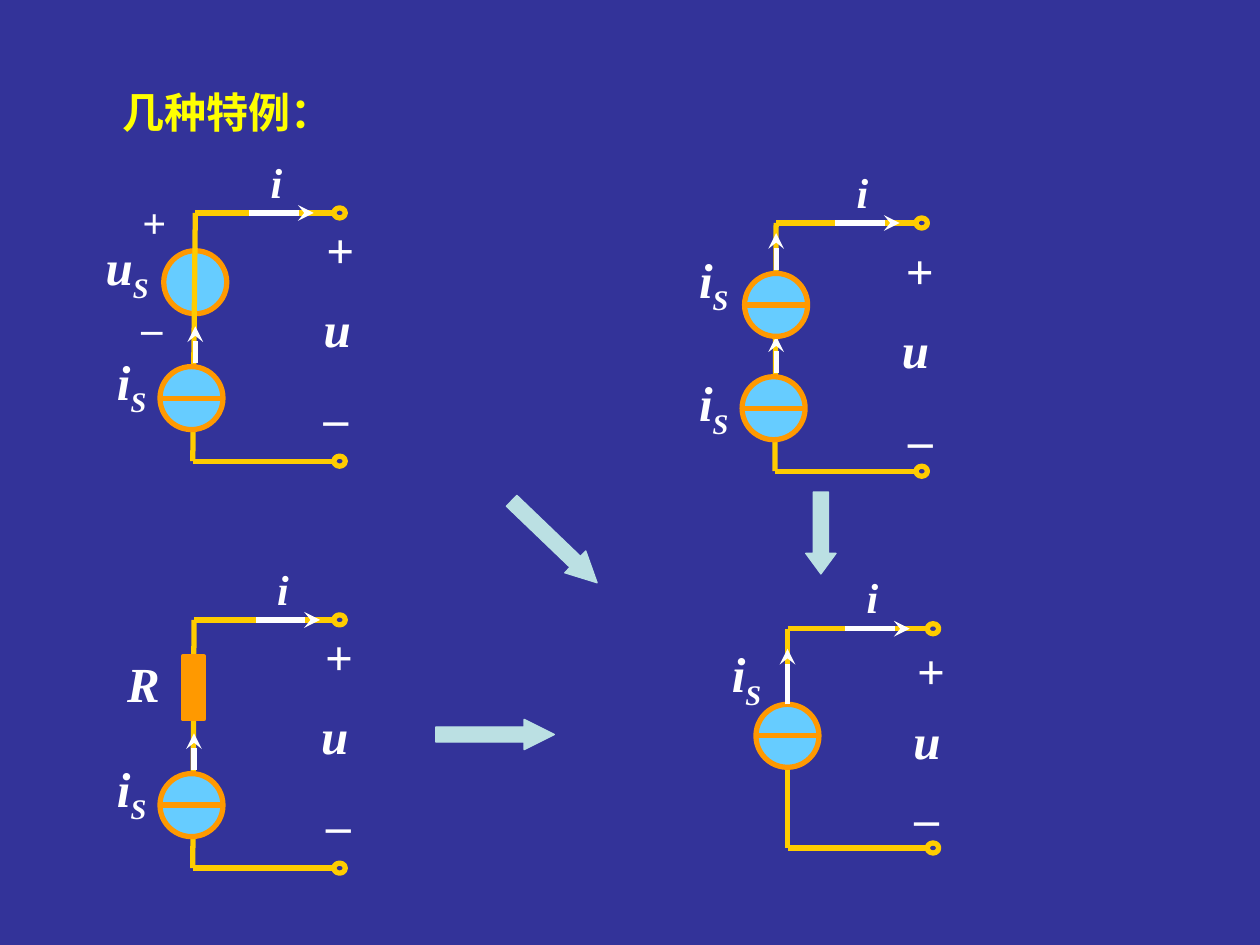
from dataclasses import dataclass

import pptx
import pptx.dml.color
import pptx.enum.shapes
import pptx.enum.text
import pptx.oxml.ns
import pptx.util
from lxml import etree
from pptx.util import Inches

SHAPE = pptx.enum.shapes.MSO_SHAPE
ANCHOR = pptx.enum.text.MSO_ANCHOR
ALIGN = pptx.enum.text.PP_ALIGN


@dataclass(frozen=True)
class Theme:
    background: str = "333399"
    title: str = "FFFF00"
    text: str = "FFFFFF"
    wire: str = "FFCC00"
    outline: str = "FF9900"
    source: str = "66CCFF"
    arrow: str = "BBE0E3"
    title_font: str = "Arial"
    symbol_font: str = "Times New Roman"
    large: int = 28
    small: int = 24
    line: int = 3


THEME = Theme()
SOURCE_SIZE = 0.5


@dataclass(frozen=True)
class Circuit:
    """Wire corners, then the top left of each label."""
    left: float
    foot: float
    terminal: float
    top: float
    bottom: float
    current: float
    voltage: tuple
    plus: tuple
    minus: tuple


def rgb(value):
    return pptx.dml.color.RGBColor.from_string(value)


def set_font(font, name, size, color, italic=False):
    font.name = name
    font.size = pptx.util.Pt(size)
    font.bold = True
    font.italic = italic
    font.color.rgb = rgb(color)


def add_title(slide, text):
    title = slide.shapes.title
    title.left, title.top = Inches(0.87), Inches(0.64)
    title.width, title.height = Inches(1.86), Inches(0.5)
    frame = title.text_frame
    frame.text = text
    frame.word_wrap = False
    frame.auto_size = pptx.enum.text.MSO_AUTO_SIZE.NONE
    frame.vertical_anchor = ANCHOR.TOP
    heading = frame.paragraphs[0]
    heading.alignment = ALIGN.LEFT
    set_font(heading.font, THEME.title_font, THEME.small, THEME.title)


def add_label(shapes, box, text, subscript="", size=THEME.large):
    label = shapes.add_textbox(*map(Inches, box))
    frame = label.text_frame
    frame.word_wrap = True
    symbol = frame.paragraphs[0]
    symbol.add_run().text = text
    if subscript:
        run = symbol.add_run()
        run.text = subscript
        run._r.get_or_add_rPr().set("baseline", "-25000")
    set_font(symbol.font, THEME.symbol_font, size, THEME.text, italic=True)


def add_sign(shapes, box, sign, size=THEME.large):
    label = shapes.add_textbox(*map(Inches, box))
    frame = label.text_frame
    frame.word_wrap = False
    frame.vertical_anchor = ANCHOR.MIDDLE
    polarity = frame.paragraphs[0]
    polarity.text = sign
    polarity.alignment = ALIGN.CENTER
    set_font(polarity.font, THEME.symbol_font, size, THEME.text)


def add_line(shapes, start, end, color, arrow=False):
    line = shapes.add_connector(pptx.enum.shapes.MSO_CONNECTOR.STRAIGHT,
                                *map(Inches, (*start, *end)))
    line.line.color.rgb = rgb(color)
    line.line.width = pptx.util.Pt(THEME.line)
    if arrow:
        etree.SubElement(line.line._get_or_add_ln(),
                         pptx.oxml.ns.qn("a:tailEnd"), type="stealth")
    etree.SubElement(line._element.spPr, pptx.oxml.ns.qn("a:effectLst"))


def add_figure(shapes, kind, box, fill, outline, width=THEME.line):
    figure = shapes.add_shape(kind, *map(Inches, box))
    figure.shadow.inherit = False
    if fill:
        figure.fill.solid()
        figure.fill.fore_color.rgb = rgb(fill)
    else:
        figure.fill.background()
    figure.line.color.rgb = rgb(outline)
    figure.line.width = pptx.util.Pt(width)
    return figure


def add_circle(shapes, left, top):
    add_figure(shapes, SHAPE.OVAL, (left, top, SOURCE_SIZE, SOURCE_SIZE),
               THEME.source, THEME.outline)


def add_current_source(shapes, left, top, label, wire, gap=0.03, reach=0.29):
    """Barred circle, its subscripted label and the arrow on the wire above."""
    add_circle(shapes, left, top)
    middle = top + SOURCE_SIZE / 2
    add_line(shapes, (left, middle), (left + SOURCE_SIZE, middle), THEME.outline)
    add_line(shapes, (wire, top - gap), (wire, top - gap - reach), THEME.text, arrow=True)
    add_label(shapes, (*label, 0.66, 0.63), "i", "S")


def add_voltage_source(shapes):
    add_circle(shapes, 1.3, 1.99)
    add_label(shapes, (0.74, 1.83, 0.66, 0.63), "u", "S")
    add_sign(shapes, (1.03, 1.51, 0.39, 0.5), "+", THEME.small)
    add_sign(shapes, (1.02, 2.23, 0.37, 0.5), "_", THEME.small)


def add_resistor(shapes):
    add_figure(shapes, SHAPE.RECTANGLE, (1.45, 5.21, 0.17, 0.5),
               THEME.outline, THEME.outline, 2.25)
    add_label(shapes, (0.91, 5.14, 0.45, 0.57), "R")


def add_port(shapes, circuit):
    """Wires, open terminals, and the port's current and voltage."""
    end = circuit.terminal - 0.04
    add_line(shapes, (circuit.left, circuit.top), (circuit.foot, circuit.bottom), THEME.wire)
    for corner, y in ((circuit.left, circuit.top), (circuit.foot, circuit.bottom)):
        add_line(shapes, (corner, y), (end, y), THEME.wire)
        add_figure(shapes, SHAPE.OVAL, (end, y - 0.04, 0.09, 0.08), None, THEME.wire)
    add_label(shapes, (circuit.current, circuit.top - 0.5, 0.42, 0.5), "i", size=THEME.small)
    tail = circuit.current - 0.07
    add_line(shapes, (tail, circuit.top), (tail + 0.51, circuit.top), THEME.text, arrow=True)
    add_label(shapes, (*circuit.voltage, 0.45, 0.57), "u")
    add_sign(shapes, (*circuit.plus, 0.42, 0.57), "+")
    add_sign(shapes, (*circuit.minus, 0.37, 0.57), "_")


def add_block_arrow(shapes, box, rotation=0, head=1):
    arrow = add_figure(shapes, SHAPE.RIGHT_ARROW, box, THEME.arrow, THEME.arrow, 0.75)
    arrow.adjustments[1] = head
    arrow.rotation = rotation


def main():
    deck = pptx.Presentation()
    deck.slide_width, deck.slide_height = Inches(10), Inches(7.5)
    slide = deck.slides.add_slide(deck.slide_layouts[5])
    slide.background.fill.solid()
    slide.background.fill.fore_color.rgb = rgb(THEME.background)
    add_title(slide, "几种特例：")

    voltage_case, resistor_case, double_case, equivalent = (
        slide.shapes.add_group_shape().shapes for _ in range(4))

    add_voltage_source(voltage_case)
    add_port(voltage_case, Circuit(1.55, 1.53, 2.69, 1.69, 3.66, 2.05,
                                   (2.47, 2.32), (2.49, 1.69), (2.47, 2.89)))
    add_current_source(voltage_case, 1.27, 2.91, (0.83, 2.74), 1.55)

    add_port(resistor_case, Circuit(1.54, 1.53, 2.69, 4.92, 6.89, 2.1,
                                    (2.45, 5.55), (2.48, 4.92), (2.49, 6.12)))
    add_current_source(resistor_case, 1.27, 6.14, (0.83, 5.97), 1.54)
    add_resistor(resistor_case)

    add_port(double_case, Circuit(6.16, 6.15, 7.31, 1.77, 3.74, 6.7,
                                  (7.06, 2.49), (7.09, 1.86), (7.11, 3.06)))
    add_current_source(double_case, 5.89, 2.99, (5.45, 2.91), 6.16)
    add_current_source(double_case, 5.91, 2.17, (5.45, 1.93), 6.16)

    add_port(equivalent, Circuit(6.25, 6.25, 7.4, 4.99, 6.73, 6.78,
                                 (7.15, 5.59), (7.18, 5.03), (7.16, 6.06)))
    add_current_source(equivalent, 6, 5.59, (5.71, 5.06), 6.25, gap=0, reach=0.44)

    add_block_arrow(slide.shapes, (3.93, 4.18, 0.94, 0.24), 43.8)
    add_block_arrow(slide.shapes, (3.46, 5.71, 0.94, 0.24))
    add_block_arrow(slide.shapes, (6.19, 4.11, 0.65, 0.24), 90, 0.68)
    deck.save("out.pptx")


if __name__ == "__main__":
    main()
